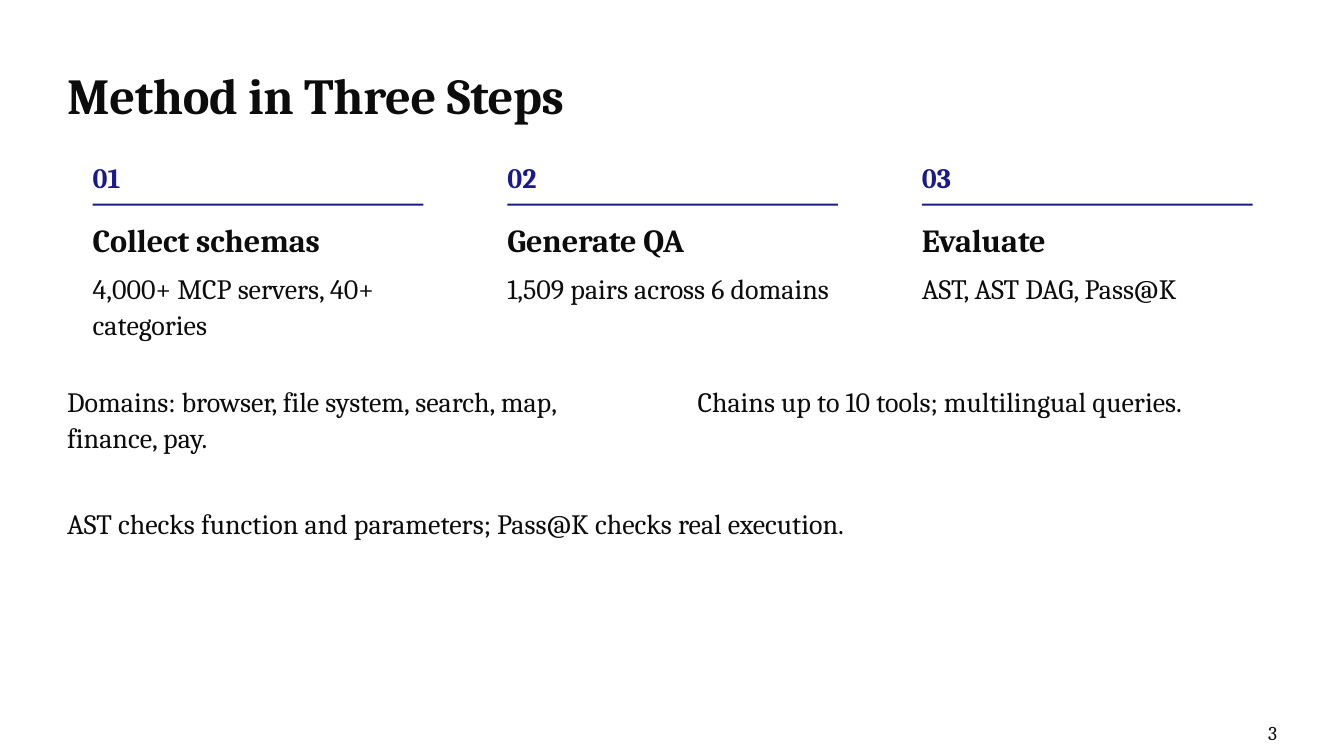
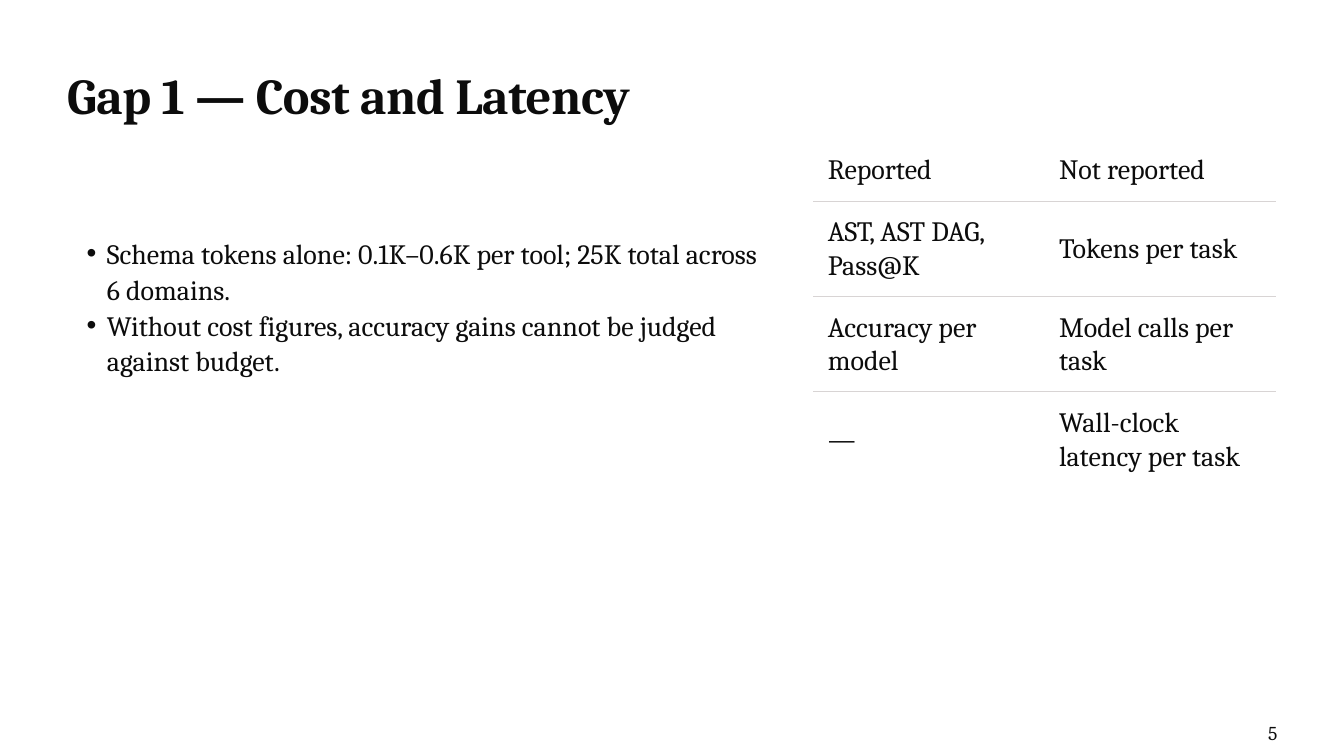
from dataclasses import dataclass

from lxml import etree
from pptx import Presentation
from pptx import util as u
from pptx.dml.color import RGBColor
from pptx.enum import shapes, text
from pptx.oxml import ns
from pptx.slide import Slide

Inches, Pt = u.Inches, u.Pt

COLOURS = {"ink": "0C0C0C", "accent": "1A1A8C", "rule": "D8D4D4", "paper": "FFFFFF"}
FONT = "Cambria"
MARGIN = 1
CONTENT_WIDTH = 18.01
STEP_LEFT, STEP_PITCH, STEP_WIDTH = 1.38, 6.17, 4.92
TITLE_ONLY, TITLE_AND_CONTENT = 5, 1


@dataclass(frozen=True)
class Style:
    size: float
    line: float
    bold: bool = False
    colour: str = "ink"
    tracking: int = 0  # hundredths of a point


TITLE = Style(54, 58.4, bold=True, tracking=-40)
NUMBER = Style(30, 29.9, bold=True, colour="accent")
HEADING = Style(34.5, 40.2, bold=True, tracking=-10)
BODY = Style(30, 38.5)
CELL = Style(30, 36)
FOOTER = Style(21, 27)


@dataclass(frozen=True)
class Step:
    heading: str
    detail: str
    detail_width: float = 5.3
    detail_height: float = 0.59


@dataclass(frozen=True)
class Note:
    left: float
    top: float
    width: float
    height: float
    words: str


STEPS = [
    Step("Collect schemas", "4,000+ MCP servers, 40+ categories", STEP_WIDTH, 1.12),
    Step("Generate QA", "1,509 pairs across 6 domains"),
    Step("Evaluate", "AST, AST DAG, Pass@K"),
]
NOTES = [
    Note(MARGIN, 5.69, 8.63, 1.12,
         "Domains: browser, file system, search, map, finance, pay."),
    Note(10.38, 5.69, 8.63, 0.59, "Chains up to 10 tools; multilingual queries."),
    Note(MARGIN, 7.51, CONTENT_WIDTH, 0.59,
         "AST checks function and parameters; Pass@K checks real execution."),
]
COST_POINTS = [
    "Schema tokens alone: 0.1K–0.6K per tool; 25K total across 6 domains.",
    "Without cost figures, accuracy gains cannot be judged against budget.",
]
REPORTING = [
    ("Reported", "Not reported"),
    ("AST, AST DAG, Pass@K", "Tokens per task"),
    ("Accuracy per model", "Model calls per task"),
    ("—", "Wall-clock latency per task"),
]
ROW_HEIGHTS = [0.9, 1.41, 1.41, 1.39]


def colour(name: str) -> RGBColor:
    return RGBColor.from_string(COLOURS[name])


def add_bullet(paragraph) -> None:
    properties = paragraph._p.get_or_add_pPr()
    properties.set("marL", str(Inches(0.59)))
    properties.set("indent", str(Inches(-0.3)))
    etree.SubElement(properties, ns.qn("a:buChar"), char="•")


def write_text(frame, *lines: str, style: Style = BODY, bullets: bool = False,
               anchor=text.MSO_ANCHOR.TOP, inset: float = 0, grow: bool = True) -> None:
    """Fill a text frame with one paragraph per line."""
    frame.word_wrap = True
    frame.vertical_anchor = anchor
    frame.auto_size = (text.MSO_AUTO_SIZE.SHAPE_TO_FIT_TEXT if grow
                       else text.MSO_AUTO_SIZE.NONE)
    frame.margin_left = frame.margin_right = Inches(inset)
    frame.margin_top = frame.margin_bottom = Inches(inset)
    for index, line in enumerate(lines):
        paragraph = frame.paragraphs[0] if index == 0 else frame.add_paragraph()
        if bullets:
            paragraph.level = 1
            add_bullet(paragraph)
        write_line(paragraph, line, style)


def write_line(paragraph, line: str, style: Style) -> None:
    paragraph.alignment = text.PP_ALIGN.LEFT
    paragraph.line_spacing = Pt(style.line)
    paragraph.space_before = paragraph.space_after = Pt(0)
    run = paragraph.add_run()
    run.text = line
    run.font.name = FONT
    run.font.size = Pt(style.size)
    run.font.bold = style.bold
    run.font.color.rgb = colour(style.colour)
    if style.tracking:
        run._r.get_or_add_rPr().set("spc", str(style.tracking))


def place(shape, left: float, top: float, width: float, height: float) -> None:
    shape.left, shape.top = Inches(left), Inches(top)
    shape.width, shape.height = Inches(width), Inches(height)


def add_text(slide: Slide, left: float, top: float, width: float, height: float,
             *lines: str, **formatting) -> None:
    box = slide.shapes.add_textbox(Inches(left), Inches(top), Inches(width), Inches(height))
    write_text(box.text_frame, *lines, **formatting)


def add_slide(presentation, layout: int, title: str, number: int) -> Slide:
    """Start a slide with the shared background, title and page number."""
    slide = presentation.slides.add_slide(presentation.slide_layouts[layout])
    slide.background.fill.solid()
    slide.background.fill.fore_color.rgb = colour("paper")
    place(slide.shapes.title, MARGIN, 1.05, CONTENT_WIDTH, 0.78)
    write_text(slide.shapes.title.text_frame, title, style=TITLE)
    add_text(slide, 18.87, 10.69, 1.15, 0.4, str(number), style=FOOTER,
             anchor=text.MSO_ANCHOR.MIDDLE, grow=False)
    return slide


def add_step(slide: Slide, index: int, step: Step) -> None:
    left = STEP_LEFT + index * STEP_PITCH
    add_text(slide, left, 2.48, 1.42, 0.38, f"{index + 1:02}", style=NUMBER)
    rule = slide.shapes.add_shape(shapes.MSO_SHAPE.RECTANGLE, Inches(left), Inches(3.03),
                                  Inches(STEP_WIDTH), Inches(0.03))
    rule.shadow.inherit = False
    rule.fill.solid()
    rule.fill.fore_color.rgb = colour("accent")
    rule.line.fill.background()
    add_text(slide, left, 3.29, STEP_WIDTH, 0.58, step.heading, style=HEADING)
    add_text(slide, left, 4, step.detail_width, step.detail_height, step.detail)


def set_borders(cell, **borders: str) -> None:
    """Give each side (L, R, T, B) a 1 pt line in a named colour."""
    properties = cell._tc.get_or_add_tcPr()
    for position, (side, name) in enumerate(borders.items()):
        line = etree.Element(ns.qn(f"a:ln{side}"), w=str(Pt(1)))
        fill = etree.SubElement(line, ns.qn("a:solidFill"))
        etree.SubElement(fill, ns.qn("a:srgbClr"), val=COLOURS[name])
        properties.insert(position, line)


def add_reporting_table(slide: Slide) -> None:
    frame = slide.shapes.add_table(len(REPORTING), 2, Inches(12.11), Inches(2.07),
                                   Inches(6.88), Inches(sum(ROW_HEIGHTS)))
    table = frame.table
    last = len(REPORTING) - 1
    for row, words in enumerate(REPORTING):
        table.rows[row].height = Inches(ROW_HEIGHTS[row])
        for column, word in enumerate(words):
            cell = table.cell(row, column)
            cell.vertical_anchor = text.MSO_ANCHOR.MIDDLE
            cell.margin_left = cell.margin_right = Inches(0.21)
            cell.margin_top = cell.margin_bottom = Inches(0.21)
            cell.fill.solid()
            cell.fill.fore_color.rgb = colour("paper")
            write_line(cell.text_frame.paragraphs[0], word, CELL)
            set_borders(cell, L="paper", R="paper",
                        T="paper" if row == 0 else "rule",
                        B="paper" if row == last else "rule")


def build_method(presentation) -> None:
    slide = add_slide(presentation, TITLE_ONLY, "Method in Three Steps", 3)
    for index, step in enumerate(STEPS):
        add_step(slide, index, step)
    for note in NOTES:
        add_text(slide, note.left, note.top, note.width, note.height, note.words)


def build_gap(presentation) -> None:
    slide = add_slide(presentation, TITLE_AND_CONTENT, "Gap 1 — Cost and Latency", 5)
    points = slide.placeholders[1]
    place(points, MARGIN, 3.48, 10.36, 2.25)
    write_text(points.text_frame, *COST_POINTS, bullets=True)
    add_reporting_table(slide)


def main() -> None:
    presentation = Presentation()
    presentation.slide_width, presentation.slide_height = Inches(20), Inches(11.25)
    build_method(presentation)
    build_gap(presentation)
    presentation.save("out.pptx")


if __name__ == "__main__":
    main()
